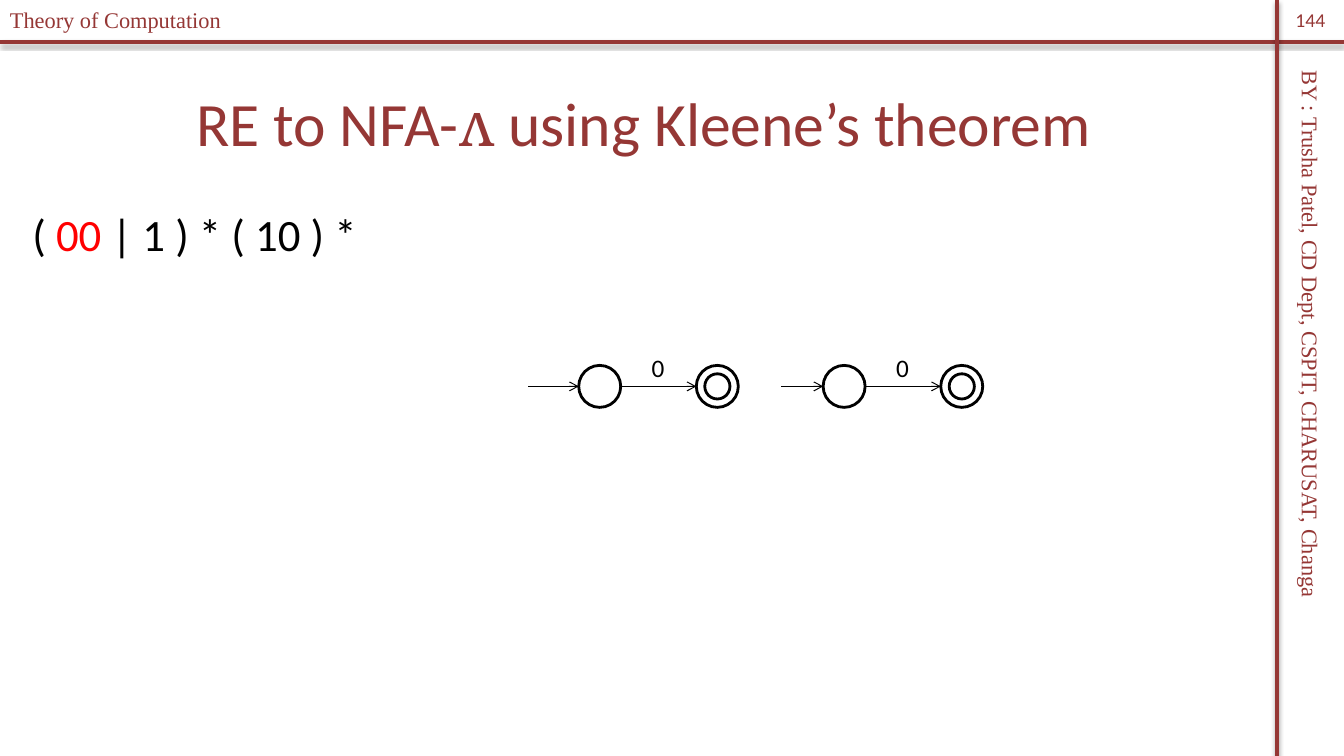
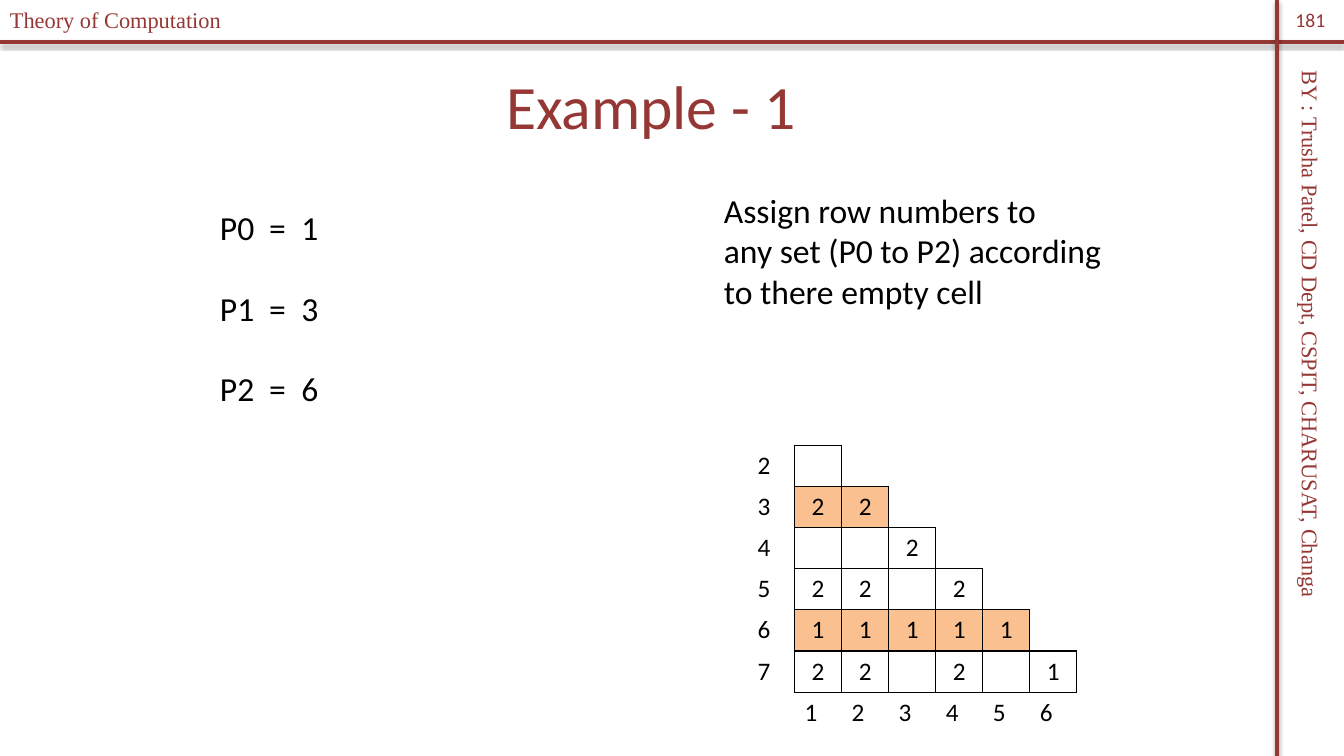
from lxml import etree
from pptx import Presentation
from pptx.dml.color import RGBColor
from pptx.enum.shapes import MSO_CONNECTOR, MSO_SHAPE
from pptx.enum.text import MSO_ANCHOR, PP_ALIGN
from pptx.oxml.ns import qn
from pptx.util import Inches, Pt

STRAIGHT = MSO_CONNECTOR.STRAIGHT
ELLIPSE = MSO_SHAPE.OVAL
LEFT, CENTER = PP_ALIGN.LEFT, PP_ALIGN.CENTER
TOP, MIDDLE = MSO_ANCHOR.TOP, MSO_ANCHOR.MIDDLE

COLUMNS, ROWS = 32, 18
UNIT = Inches(7.5) / ROWS  # square grid cell
TITLE_AND_CONTENT, TITLE_ONLY = 1, 5

BLACK, WHITE, RED = "000000", "FFFFFF", "FF0000"
MAROON, ORANGE = "953735", "FAC090"
BODY_FONT, BAND_FONT, SYMBOL_FONT = "Calibri", "Times New Roman", "Cambria"


def grid(*lengths):
    return [round(length * UNIT) for length in lengths]


def rgb(color):
    return RGBColor.from_string(color)


def add_element(parent, tag, **attributes):
    element = etree.SubElement(parent, qn(tag))
    for name, value in attributes.items():
        element.set(name, str(value))
    return element


class Deck:
    """Holds the shared style, the current slide and its drawing target."""

    def __init__(self):
        self.presentation = Presentation()
        self.presentation.slide_width, self.presentation.slide_height = grid(COLUMNS, ROWS)
        self.slide = None
        self.shapes = None

    def start_slide(self, layout, number, title_runs, title_box):
        layouts = self.presentation.slide_layouts
        self.slide = self.slide = self.presentation.slides.add_slide(layouts[layout])
        self.shapes = self.slide.shapes
        self.line(0, 1, COLUMNS, 1, MAROON, 3, shadow=True)
        self.line(30.4, 0, 30.4, ROWS, MAROON, 3, shadow=True)
        author = self.text(["BY : Trusha Patel, CD Dept, CSPIT, CHARUSAT, Changa"],
                           23.5, 8.69, 15.4, 0.89, 16, MAROON, BAND_FONT)
        author.rotation = 90
        self.text(["Theory of Computation"], 0, 0.02, 7.9, 0.89, 16, MAROON, BAND_FONT)
        self.text([number], 30.4, 0, 1.6, 0.96, 14, MAROON, align=CENTER, anchor=MIDDLE)
        self.placeholder(self.shapes.title, title_box, title_runs, 44, MAROON, CENTER, MIDDLE)

    def style(self, paragraph, size, color, font=BODY_FONT, align=LEFT):
        paragraph.alignment = align
        paragraph.font.size = Pt(size)
        paragraph.font.name = font
        paragraph.font.color.rgb = rgb(color)

    def placeholder(self, shape, box, runs, size, color, align=LEFT, anchor=TOP):
        """Fill a placeholder with runs of (text, font, color); None keeps the style."""
        shape.left, shape.top, shape.width, shape.height = grid(*box)
        shape.text_frame.vertical_anchor = anchor
        paragraph = shape.text_frame.paragraphs[0]
        paragraph.space_before = Pt(0)
        properties = paragraph._p.get_or_add_pPr()
        properties.set("marL", "0")
        properties.set("indent", "0")
        add_element(properties, "a:buNone")
        self.style(paragraph, size, color, align=align)
        for text, font, run_color in runs:
            run = paragraph.add_run()
            run.text = text
            if font:
                run.font.name = font
            if run_color:
                run.font.color.rgb = rgb(run_color)

    def body(self, box, runs):
        self.placeholder(self.slide.placeholders[1], box, runs, 32, BLACK)

    def text(self, lines, left, top, width, height, size, color=BLACK, font=BODY_FONT,
             align=LEFT, anchor=TOP, gap=0, tabs=()):
        box = self.shapes.add_textbox(*grid(left, top, width, height))
        frame = box.text_frame
        frame.word_wrap = True
        frame.vertical_anchor = anchor
        for index, line in enumerate(lines):
            paragraph = frame.add_paragraph() if index else frame.paragraphs[0]
            paragraph.text = line
            paragraph.space_before = Pt(gap if index else 0)
            if tabs:
                stops = add_element(paragraph._p.get_or_add_pPr(), "a:tabLst")
                for position in grid(*tabs):
                    add_element(stops, "a:tab", pos=position, algn="l")
            self.style(paragraph, size, color, font, align)
        return box

    def line(self, x1, y1, x2, y2, color=BLACK, width=0.75, arrow=False, shadow=False):
        connector = self.shapes.add_connector(STRAIGHT, *grid(x1, y1, x2, y2))
        connector.line.color.rgb = rgb(color)
        connector.line.width = Pt(width)
        if arrow:
            add_element(connector.line._get_or_add_ln(), "a:tailEnd", type="arrow")
        effects = add_element(connector._element.spPr, "a:effectLst")
        if shadow:
            outer = add_element(effects, "a:outerShdw", blurRad=Pt(3.1), dist=Pt(1.8),
                                dir=5400000, rotWithShape=0)
            shade = add_element(outer, "a:srgbClr", val=BLACK)
            add_element(shade, "a:alpha", val=35000)

    def circle(self, center_x, center_y, diameter):
        shape = self.shapes.add_shape(ELLIPSE, *grid(
            center_x - diameter / 2, center_y - diameter / 2, diameter, diameter))
        shape.shadow.inherit = False
        shape.fill.solid()
        shape.fill.fore_color.rgb = rgb(WHITE)
        shape.line.color.rgb = rgb(BLACK)
        shape.line.width = Pt(2)

    def automaton(self, left, middle, lead, symbol):
        """Group a start state and an accepting state, joined by one symbol."""
        self.shapes = self.slide.shapes.add_group_shape().shapes
        accept = left + 2.8
        self.circle(left + 0.5, middle, 1)
        self.circle(accept + 0.5, middle, 1)
        self.circle(accept + 0.5, middle, 0.6)
        self.line(left + 1, middle, accept, middle, arrow=True)
        self.line(left - lead, middle, left, middle, arrow=True)
        self.text([symbol], left + 1.5, middle - 0.92, 0.8, 0.96, 18)
        self.shapes = self.slide.shapes

    def border(self, cell, tag, visible):
        edge = add_element(cell._tc.get_or_add_tcPr(), tag, w=Pt(1))
        if visible:
            add_element(add_element(edge, "a:solidFill"), "a:srgbClr", val=BLACK)
        else:
            add_element(edge, "a:noFill")

    def staircase(self, left, top, column, row, marks, first_label, shaded):
        """Draw a triangular table with row labels on the left and column labels below."""
        size = len(marks)

        def boxed(r, c):
            return 0 <= r < size and 1 <= c <= r + 1

        frame = self.shapes.add_table(size + 1, size + 1, *grid(
            left, top, column * (size + 1), row * (size + 1)))
        table = frame.table
        table.first_row = table.horz_banding = False
        for index in range(size + 1):
            table.columns[index].width, table.rows[index].height = grid(column, row)
        for r in range(size + 1):
            for c in range(size + 1):
                cell = table.cell(r, c)
                for tag, other in (("a:lnL", (r, c - 1)), ("a:lnR", (r, c + 1)),
                                   ("a:lnT", (r - 1, c)), ("a:lnB", (r + 1, c))):
                    self.border(cell, tag, boxed(r, c) or boxed(*other))
                if boxed(r, c) and r in shaded:
                    cell.fill.solid()
                    cell.fill.fore_color.rgb = rgb(ORANGE)
                else:
                    cell.fill.background()
                if boxed(r, c):
                    cell.text = marks[r][c - 1]
                elif c == 0 and r < size:
                    cell.text = str(first_label + r)
                elif r == size and c > 0:
                    cell.text = str(c)
                self.style(cell.text_frame.paragraphs[0], 18, BLACK,
                           align=CENTER if boxed(r, c) else LEFT)


def main():
    deck = Deck()

    deck.start_slide(TITLE_AND_CONTENT, "144", [
        ("RE to NFA-", None, None),
        ("ʌ", SYMBOL_FONT, None),
        (" using Kleene’s theorem", None, None),
    ], (0.53, 1.4, 29.6, 3))
    deck.body((0.53, 4.8, 29.6, 12.6), [
        ("( ", None, None), ("00", None, RED), (" | 1 ) * ( 10 ) *", None, None)])
    for left, lead in ((19.6, 1), (13.78, 1.2)):
        deck.automaton(left, 9.2, lead, "0")

    deck.start_slide(TITLE_ONLY, "181", [("Example - 1", None, None)], (4.4, 1, 22.2, 3))
    deck.text(["Assign row numbers to", "any set (P0 to P2) according", "to there empty cell"],
              17, 4.4, 10, 3.14, 24)
    marks = [
        [""],
        ["2", "2"],
        ["", "", "2"],
        ["2", "2", "", "2"],
        ["1", "1", "1", "1", "1"],
        ["2", "2", "", "2", "", "1"],
    ]
    deck.staircase(17.8, 10.6, 1.12, 0.98, marks, first_label=2, shaded=(1, 4))
    deck.text(["P0\t=\t1", "P1\t=\t3", "P2\t=\t6"], 5, 4.8, 3.2, 5.1, 24,
              gap=29, tabs=(1.17, 1.94))

    deck.presentation.save("out.pptx")


if __name__ == "__main__":
    main()
